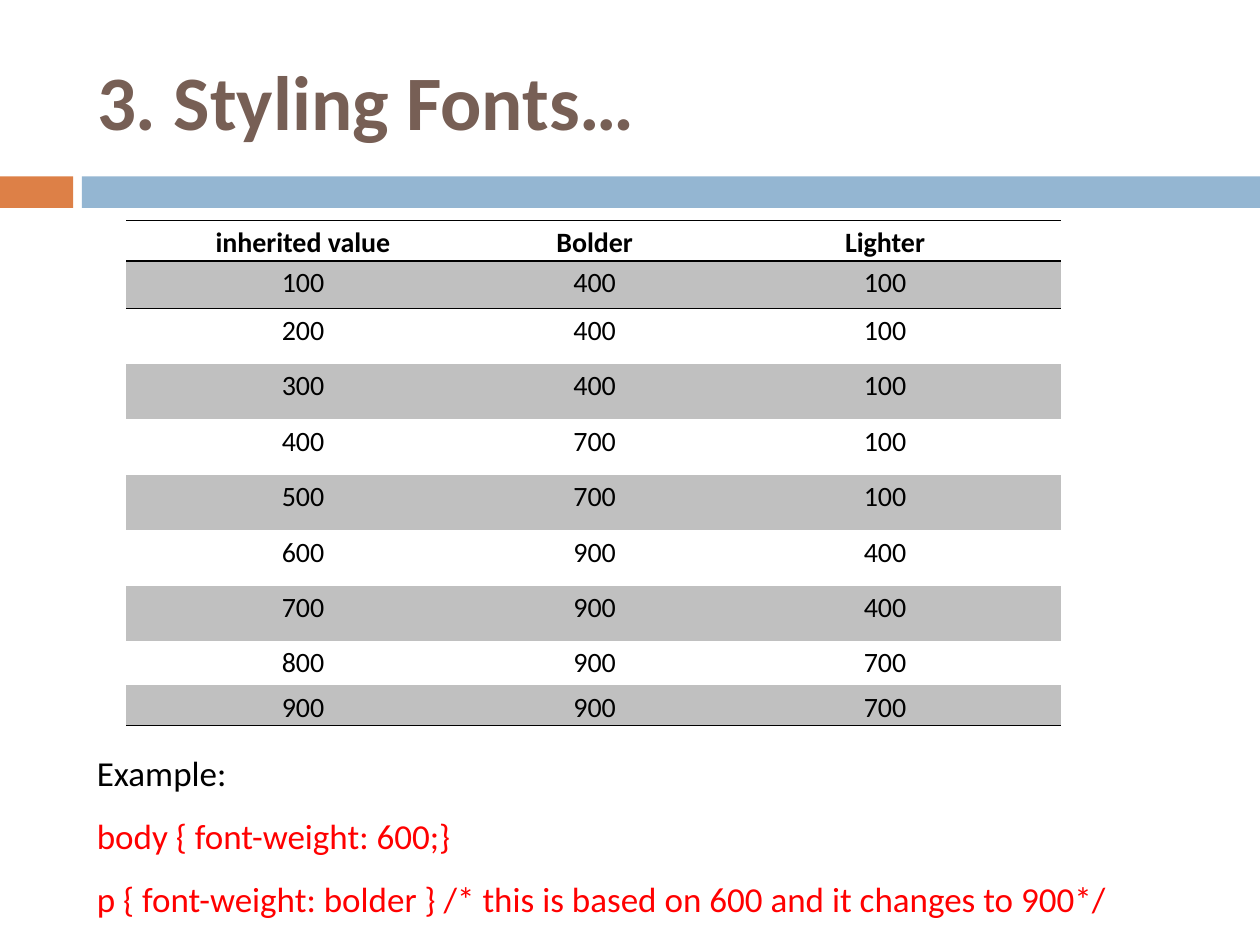
from lxml import etree
from pptx import Presentation
from pptx.dml.color import RGBColor
from pptx.enum import shapes, text
from pptx.oxml import ns
from pptx.util import Inches, Pt

FONT = "Calibri"
BLACK, RED, GREY = "000000", "FF0000", "C0C0C0"
NO_STYLE = "{2D5ABB26-0587-4C30-8999-92F81FD0307C}"

HEADS = ["inherited value", "Bolder", "Lighter"]
WEIGHTS = [
    (100, 400, 100), (200, 400, 100), (300, 400, 100),
    (400, 700, 100), (500, 700, 100), (600, 900, 400),
    (700, 900, 400), (800, 900, 700), (900, 900, 700),
]
COLS = [2.81, 1.82, 2.79]
ROWS = [0.32, 0.38] + [0.44] * 6 + [0.35, 0.32]


def paint(fill, color):
    fill.solid()
    fill.fore_color.rgb = RGBColor.from_string(color)


def style(par, size, color, bold=False, align=text.PP_ALIGN.LEFT, gap=1.0):
    par.alignment = align
    par.line_spacing = gap
    for run in par.runs:
        font = run.font
        font.name, font.size, font.bold = FONT, Pt(size), bold
        font.color.rgb = RGBColor.from_string(color)


def place(shape, box):
    shape.left, shape.top, shape.width, shape.height = map(Inches, box)


def add_title(slide, box):
    title = slide.shapes.title
    place(title, box)
    frame = title.text_frame
    frame.text = "3. Styling Fonts…"
    frame.vertical_anchor = text.MSO_ANCHOR.MIDDLE
    style(frame.paragraphs[0], 44, "775F55", bold=True)


def add_band(slide, box):
    # Short orange block, a gap, then the long blue bar
    left, top, width, height = box
    block, start = 0.58, 0.65
    parts = [(left, block, "DD8047"), (left + start, width - start, "94B6D2")]
    for x, wide, color in parts:
        bar = slide.shapes.add_shape(
            shapes.MSO_SHAPE.RECTANGLE, *map(Inches, (x, top, wide, height)))
        bar.shadow.inherit = False
        bar.line.fill.background()
        paint(bar.fill, color)


def add_rule(cell, side):
    props = cell._tc.get_or_add_tcPr()
    line = etree.SubElement(props, ns.qn("a:" + side), w=str(Pt(1)))
    fill = etree.SubElement(line, ns.qn("a:solidFill"))
    etree.SubElement(fill, ns.qn("a:srgbClr"), val=BLACK)


def add_weights(slide, box):
    data = [HEADS] + WEIGHTS
    frame = slide.shapes.add_table(len(data), len(HEADS), *map(Inches, box))
    table = frame.table
    table.first_row = table.horz_banding = False
    table._tbl.tblPr.find(ns.qn("a:tableStyleId")).text = NO_STYLE
    for col, wide in zip(table.columns, COLS):
        col.width = Inches(wide)
    for row, high in zip(table.rows, ROWS):
        row.height = Inches(high)

    last = len(data) - 1
    for i, vals in enumerate(data):
        for j, val in enumerate(vals):
            cell = table.cell(i, j)
            cell.margin_left = cell.margin_right = Inches(0.07)
            cell.margin_top = cell.margin_bottom = 0
            cell.text = str(val)
            style(cell.text_frame.paragraphs[0], 16, BLACK, bold=i == 0,
                  align=text.PP_ALIGN.CENTER, gap=1.15)
            # Rules frame the header and close the table
            if i in (0, 1):
                add_rule(cell, "lnT")
            if i in (0, last):
                add_rule(cell, "lnB")
            # Every other row is grey
            if i % 2:
                paint(cell.fill, GREY)
            else:
                cell.fill.background()


def add_sample(slide, box):
    frame = slide.shapes.add_textbox(*map(Inches, box)).text_frame
    frame.word_wrap = True
    frame.auto_size = text.MSO_AUTO_SIZE.SHAPE_TO_FIT_TEXT
    frame.text = "\n".join([
        "Example:",
        "body { font-weight: 600;}",
        "p { font-weight: bolder } /* this is based on 600 and it changes to 900*/",
    ])
    for par, color in zip(frame.paragraphs, (BLACK, RED, RED)):
        style(par, 20, color, gap=1.5)


def main():
    deck = Presentation()
    deck.slide_width, deck.slide_height = Inches(10), Inches(7.5)
    slide = deck.slides.add_slide(deck.slide_layouts.get_by_name("Title Only"))
    add_band(slide, (0, 1.4, 10, 0.25))
    add_title(slide, (0.67, 0.25, 8.92, 1.08))
    add_weights(slide, (1, 1.75, sum(COLS), sum(ROWS)))
    add_sample(slide, (0.67, 5.75, 8.42, 1.56))
    deck.save("out.pptx")


if __name__ == "__main__":
    main()
